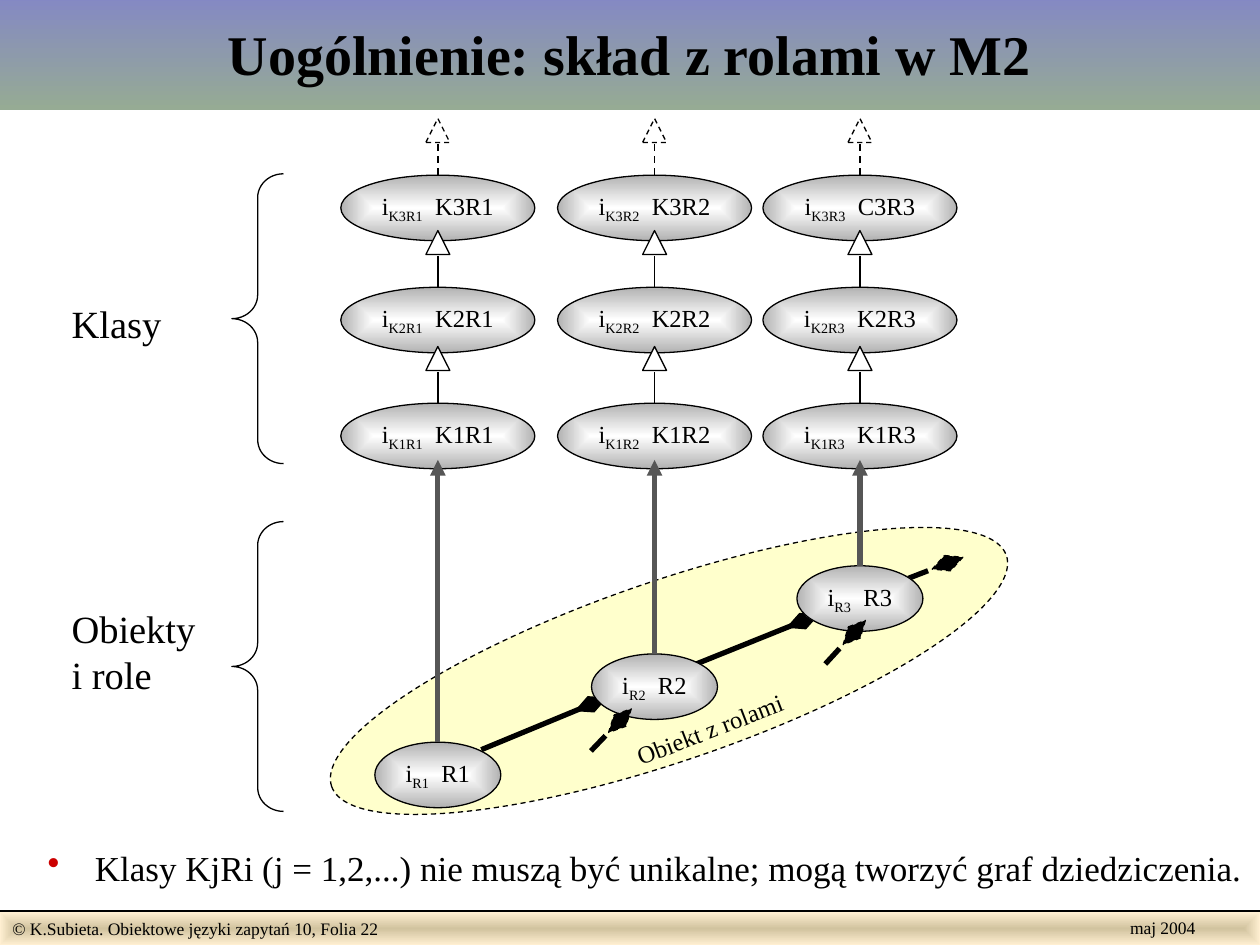
from collections import namedtuple
from math import atan2, degrees

from lxml.etree import SubElement
from pptx import Presentation
from pptx.dml.color import RGBColor
from pptx.enum.dml import MSO_LINE
from pptx.enum.shapes import MSO_CONNECTOR, MSO_SHAPE
from pptx.enum.text import MSO_ANCHOR, PP_ALIGN
from pptx.oxml.ns import qn
from pptx.util import Inches, Pt

COLORS = {
    "ink": "000000", "paper": "FFFFFF", "silver": "B2B2B2", "arrow": "565656",
    "object": "FFFFCC", "title_top": "8488C4", "title_bottom": "96AB94",
    "footer_core": "D1C39F", "footer_edge": "FFEFD1", "bullet": "CC0000",
}
FONT = "Times New Roman"
COLUMNS, ROWS = 100, 75
Box = namedtuple("Box", "left top width height")

deck = Presentation()
deck.slide_width, deck.slide_height = Inches(10), Inches(7.5)
slide = deck.slides.add_slide(deck.slide_layouts[6])


def col(n):
    return round(deck.slide_width * n / COLUMNS)


def row(n):
    return round(deck.slide_height * n / ROWS)


def place(box):
    return col(box.left), row(box.top), col(box.width), row(box.height)


def rgb(name):
    return RGBColor.from_string(COLORS[name])


def write(shape, runs, size=14, bold=False, align=PP_ALIGN.LEFT,
          anchor=MSO_ANCHOR.TOP, wrap=True, bullet=None):
    frame = shape.text_frame
    frame.word_wrap = wrap
    frame.vertical_anchor = anchor
    paragraph = frame.paragraphs[0]
    paragraph.alignment = align
    for text, baseline in [(runs, 0)] if isinstance(runs, str) else runs:
        run = paragraph.add_run()
        run.text = text
        font = run.font
        font.name, font.size, font.bold = FONT, Pt(size), bold
        font.color.rgb = rgb("ink")
        if baseline:
            run._r.get_or_add_rPr().set("baseline", str(baseline * 1000))
    if bullet:
        paragraph.space_before = Pt(5)
        props = paragraph._p.get_or_add_pPr()
        props.set("marL", str(col(3.75)))
        props.set("indent", str(-col(3.75)))
        tint = SubElement(props, qn("a:buClr"))
        SubElement(tint, qn("a:srgbClr"), val=COLORS["bullet"])
        SubElement(props, qn("a:buChar"), char=bullet)


def label(box, text, rotation=0, **style):
    textbox = slide.shapes.add_textbox(*place(box))
    textbox.rotation = rotation
    write(textbox, text, **style)


def draw(kind, box, fill=None, gradient=None, radial=False, line=None,
         dashed=False, rotation=0):
    shape = slide.shapes.add_shape(kind, *place(box))
    shape.shadow.inherit = False
    shape.rotation = rotation
    if gradient:
        shape.fill.gradient()
        shape.fill.gradient_angle = 270
        for stop, name in zip(shape.fill.gradient_stops, gradient):
            stop.color.rgb = rgb(name)
        if radial:
            grad = shape._element.spPr.find(qn("a:gradFill"))
            grad.remove(grad.find(qn("a:lin")))
            focus = SubElement(grad, qn("a:path"), path="rect")
            SubElement(focus, qn("a:fillToRect"),
                       dict.fromkeys("ltrb", "50000"))
    elif fill:
        shape.fill.solid()
        shape.fill.fore_color.rgb = rgb(fill)
    else:
        shape.fill.background()
    if line:
        shape.line.color.rgb = rgb(line)
        shape.line.width = Pt(0.75)
        if dashed:
            shape.line.dash_style = MSO_LINE.DASH
    else:
        shape.line.fill.background()
    return shape


def connect(begin, end, width=1, color="ink", dashed=False, head=False):
    link = slide.shapes.add_connector(
        MSO_CONNECTOR.STRAIGHT, col(begin[0]), row(begin[1]), col(end[0]), row(end[1]))
    link.line.color.rgb = rgb(color)
    link.line.width = Pt(width)
    if dashed:
        link.line.dash_style = MSO_LINE.DASH
    if head:
        SubElement(link.line._get_or_add_ln(), qn("a:headEnd"), type="triangle")
    SubElement(link._element.spPr, qn("a:effectLst"))
    return link


def node(box, index, name):
    oval = draw(MSO_SHAPE.OVAL, box, gradient=("paper", "silver"),
                radial=True, line="ink")
    write(oval, [("i", 0), (index, -25), ("  " + name, 0)],
          align=PP_ALIGN.CENTER, anchor=MSO_ANCHOR.MIDDLE, wrap=False)
    return oval


def title_band(box):
    band = draw(MSO_SHAPE.RECTANGLE, box, gradient=("title_top", "title_bottom"))
    write(band, "Uogólnienie: skład z rolami w M2", size=32, bold=True,
          align=PP_ALIGN.CENTER, anchor=MSO_ANCHOR.MIDDLE)


def footer(box):
    band = draw(MSO_SHAPE.RECTANGLE, box, radial=True,
                gradient=("footer_core", "footer_edge"))
    write(band, "© K.Subieta. Obiektowe języki zapytań 10, Folia 22",
          size=10, anchor=MSO_ANCHOR.MIDDLE)
    connect((box.left, box.top - 0.1), (box.left + box.width, box.top - 0.1))
    label(Box(88.7, box.top - 0.1, 7.2, 2.7), "maj 2004", size=10, wrap=False)


def class_column(box, role, names):
    centre = box.left + box.width / 2
    for level, (name, offset) in enumerate(zip(names, (0, 8.9, 18.1))):
        top = box.top + offset
        dashed = level == 0
        oval = node(Box(box.left, top, box.width, 5.2), f"K{3 - level}R{role}", name)
        link = connect((centre, top), (centre, top - 2.5), dashed=dashed)
        link.begin_connect(oval, 0)
        draw(MSO_SHAPE.ISOSCELES_TRIANGLE, Box(centre - 0.95, top - 4.5, 1.9, 1.9),
             fill="paper", line="ink", dashed=dashed)


def composition(begin, end, dashed=False):
    connect(begin, end, width=3, dashed=dashed)
    turn = degrees(atan2(end[0] - begin[0], begin[1] - end[1]))
    draw(MSO_SHAPE.DIAMOND, Box(end[0] - 0.65, end[1] - 1.3, 1.3, 2.6),
         fill="ink", line="ink", dashed=dashed, rotation=turn)


def role_object(box, centres, class_bottom):
    draw(MSO_SHAPE.OVAL, box, fill="object", line="ink", dashed=True, rotation=341.1)
    composition((38.2, 59.5), (46.9, 55.9))
    composition((55, 52.8), (63.7, 49.3))
    composition((72.1, 45.9), (75.2, 44.7), dashed=True)
    roles = [node(Box(centre - 5, 58.9 - 7 * step, 10, 5.2), f"R{step + 1}", f"R{step + 1}")
             for step, centre in enumerate(centres)]
    for centre, role in zip(centres, roles):
        arrow = connect((centre, class_bottom), (centre, 50), width=3,
                        color="arrow", head=True)
        arrow.end_connect(role, 0)
    label(Box(49.2, 56.1, 14.7, 3.4), "Obiekt z rolami", rotation=338.9, wrap=False)
    composition((65.5, 52.7), (67.8, 50.2), dashed=True)
    composition((46.9, 59.6), (49.2, 57.2), dashed=True)


def braced_group(box, text, text_box):
    brace = draw(MSO_SHAPE.LEFT_BRACE, box, line="ink")
    brace.adjustments[0] = 0.46
    label(text_box, text, size=22)


def build():
    centres = (34.75, 51.95, 68.25)
    footer(Box(0, 72.4, COLUMNS, 2.6))
    title_band(Box(0, -0.3, COLUMNS, 9))
    columns = (("K3R1", "K2R1", "K1R1"), ("K3R2", "K2R2", "K1R2"),
               ("C3R3", "K2R3", "K1R3"))
    for role, (centre, names) in enumerate(zip(centres, columns), start=1):
        class_column(Box(centre - 7.7, 13.9, 15.4, 23.3), role, names)
    role_object(Box(24.8, 46.1, 56.6, 14.3), centres, 36.5)
    braced_group(Box(18.4, 13.8, 4.1, 23), "Klasy", Box(4.7, 23.3, 9.1, 4.7))
    braced_group(Box(18.4, 41.4, 4.1, 23), "Obiekty i role", Box(4.7, 47.5, 12.2, 8.4))
    label(Box(2.8, 66.7, 97.2, 7),
          "Klasy KjRi (j = 1,2,...) nie muszą być unikalne; mogą tworzyć graf dziedziczenia.",
          size=20, bullet="•")
    deck.save("out.pptx")


if __name__ == "__main__":
    build()
